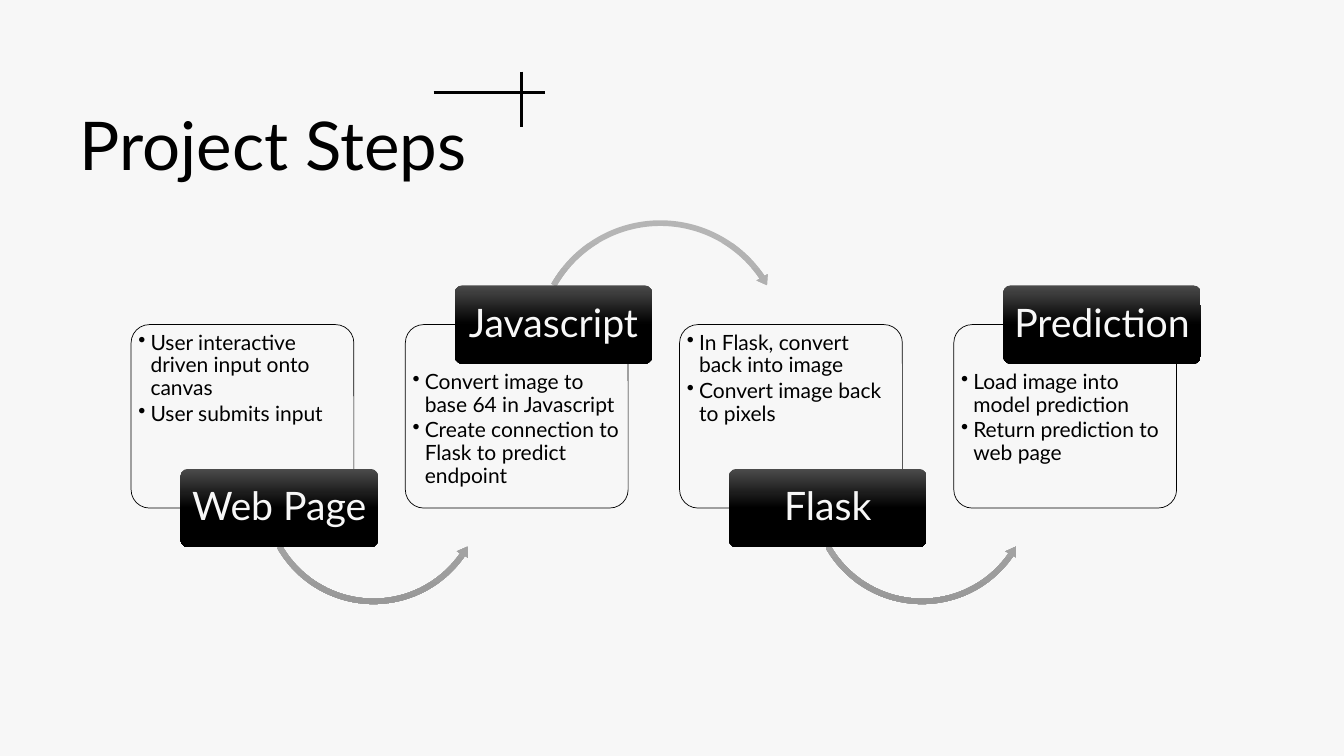
import copy
import lxml.etree
import pptx
import pptx.dml.color
import pptx.enum.shapes
import pptx.enum.text
import pptx.util
import pptx.oxml.ns

RGB = pptx.dml.color.RGBColor
INK = RGB(0x00, 0x00, 0x00)
PAPER = RGB(0xF7, 0xF7, 0xF7)
BADGE = [RGB(0x4B, 0x4B, 0x4B), INK, INK]
ARROW = [RGB(0xB5, 0xB5, 0xB5), RGB(0xAB, 0xAB, 0xAB), RGB(0x98, 0x98, 0x98)]
FONT = "Lato"
KIND = pptx.enum.shapes.MSO_SHAPE
ALIGN = pptx.enum.text.PP_ALIGN
ANCHOR = pptx.enum.text.MSO_ANCHOR
inch = pptx.util.Inches
point = pptx.util.Pt
qname = pptx.oxml.ns.qn

# Grid: four columns, one row of cards, badges hung on the card edges
LEFT, STEP = 1.3, 2.72
TOP, WIDE, HIGH = 3.22, 2.21, 1.82
SHIFT, BADGE_W, BADGE_H = 0.49, 1.96, 0.78
BADGE_UP, BADGE_LOW = 2.83, 4.65
UP = (KIND.CIRCULAR_ARROW, 1.25, 2.15, 2.56,
      [0.022, 2.605, 195.64, 125.755, 0.025])
LOW = (KIND.LEFT_CIRCULAR_ARROW, 1.27, 3.76, 2.27,
       [0.024, 2.946, 20.701, 90.245, 0.028])

STEPS = [
    ("Web Page", ["User interactive driven input onto canvas",
                  "User submits input"]),
    ("Javascript", ["Convert image to base 64 in Javascript",
                    "Create connection to Flask to predict endpoint"]),
    ("Flask", ["In Flask, convert back into image",
               "Convert image back to pixels"]),
    ("Prediction", ["Load image into model prediction",
                    "Return prediction to web page"]),
]

deck = pptx.Presentation()
deck.slide_width, deck.slide_height = inch(13.33), inch(7.5)
slide = deck.slides.add_slide(deck.slide_layouts[6])
slide.background.fill.solid()
slide.background.fill.fore_color.rgb = PAPER


def add_shape(kind, box, turns, shades=None):
    """Add a preset shape with adjustments; shades give a downward gradient."""
    shape = slide.shapes.add_shape(kind, *map(inch, box))
    shape.shadow.inherit = False
    for place, turn in enumerate(turns):
        shape.adjustments[place] = turn
    if shades:
        shape.line.fill.background()
        shape.fill.gradient()
        shape.fill.gradient_angle = 270
        stops = shape.element.spPr.find(".//" + qname("a:gsLst"))
        stops.insert(1, copy.deepcopy(stops[0]))
        for place, shade in enumerate(shades):
            stop = shape.fill.gradient_stops[place]
            stop.position = place / 2
            stop.color.rgb = shade
    return shape


def add_text(para, text, size, color):
    """Add one run of styled text to a paragraph."""
    run = para.add_run()
    run.text = text
    run.font.name, run.font.size = FONT, point(size)
    run.font.color.rgb = color


title = slide.shapes.add_textbox(*map(inch, (0.69, 0.98, 4.24, 0.91)))
title.text_frame.word_wrap = False
add_text(title.text_frame.paragraphs[0], "Project Steps", 48, INK)

for ends in [(4.3, 0.92, 5.41, 0.92), (5.17, 0.71, 5.17, 1.26)]:
    line = slide.shapes.add_connector(
        pptx.enum.shapes.MSO_CONNECTOR.STRAIGHT, *map(inch, ends))
    line.line.color.rgb, line.line.width = INK, point(2)
    lxml.etree.SubElement(line.element.spPr, qname("a:effectLst"))

for col, (name, notes) in enumerate(STEPS):
    left, high = LEFT + col * STEP, col % 2 == 1

    card = add_shape(KIND.ROUNDED_RECTANGLE, (left, TOP, WIDE, HIGH), [0.1])
    card.fill.solid()
    card.fill.fore_color.rgb = PAPER
    tint = card.element.spPr.find(".//" + qname("a:srgbClr"))
    lxml.etree.SubElement(tint, qname("a:alpha"), val="90000")
    card.line.color.rgb, card.line.width = INK, point(0.5)
    frame = card.text_frame
    frame.word_wrap, frame.vertical_anchor = True, ANCHOR.TOP
    frame.margin_left, frame.margin_right = inch(0.02), 0
    frame.margin_top, frame.margin_bottom = inch(0.41 if high else 0.02), 0
    for row, note in enumerate(notes):
        para = frame.add_paragraph() if row else frame.paragraphs[0]
        para.alignment, para.line_spacing = ALIGN.LEFT, 0.9
        para.space_after = point(2.25)
        props = para._p.get_or_add_pPr()
        props.set("marL", str(inch(0.12)))
        props.set("indent", str(-inch(0.12)))
        lxml.etree.SubElement(props, qname("a:buChar"), char="\u2022")
        add_text(para, note, 15, INK)

    if col < len(STEPS) - 1:
        kind, gap, top, size, turns = UP if high else LOW
        add_shape(kind, (left + gap, top, size, size), turns, ARROW)

    badge = add_shape(
        KIND.ROUNDED_RECTANGLE,
        (left + SHIFT, BADGE_UP if high else BADGE_LOW, BADGE_W, BADGE_H),
        [0.1], BADGE)
    frame = badge.text_frame
    frame.word_wrap, frame.vertical_anchor = True, ANCHOR.MIDDLE
    frame.margin_left = frame.margin_right = inch(0.06)
    frame.margin_top = frame.margin_bottom = inch(0.04)
    para = frame.paragraphs[0]
    para.alignment, para.line_spacing = ALIGN.CENTER, 0.9
    add_text(para, name, 28, PAPER)

deck.save("out.pptx")
